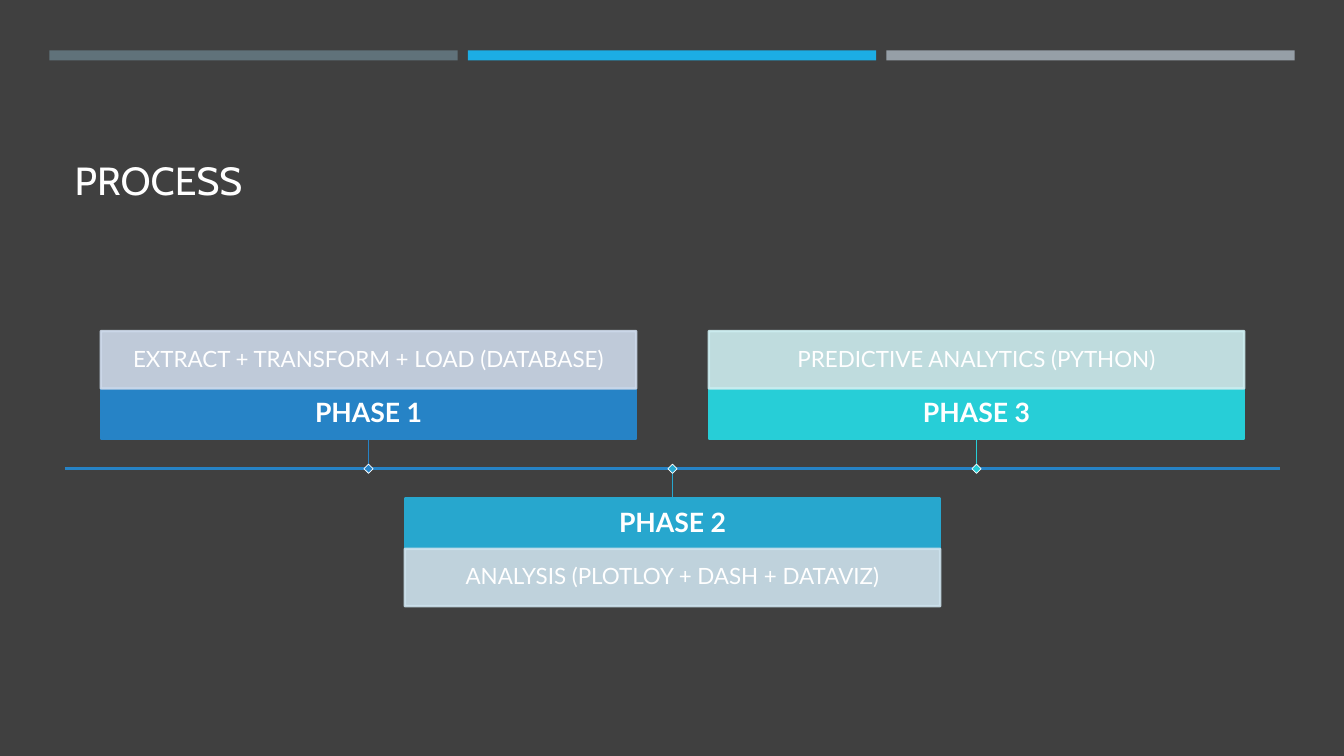
from dataclasses import dataclass

from lxml import etree
from pptx import Presentation
from pptx.dml.color import RGBColor
from pptx.enum.shapes import MSO_CONNECTOR, MSO_SHAPE
from pptx.enum.text import MSO_ANCHOR, PP_ALIGN
from pptx.oxml.ns import qn
from pptx.util import Inches, Pt

RECTANGLE = MSO_SHAPE.RECTANGLE
STRAIGHT = MSO_CONNECTOR.STRAIGHT
MIDDLE, BOTTOM = MSO_ANCHOR.MIDDLE, MSO_ANCHOR.BOTTOM
CENTER, LEFT = PP_ALIGN.CENTER, PP_ALIGN.LEFT
TOP_SIDE, BOTTOM_SIDE = 0, 2

COLORS = {
    "background": "404040",
    "text": "FFFFFF",
    "slate": "60727A",
    "sky": "1CADE4",
    "silver": "969FA7",
    "blue": "2683C6",
    "blue_tint": "CDD9EA",
    "cyan": "27A7CE",
    "cyan_tint": "CDE2ED",
    "turquoise": "27CED7",
    "turquoise_tint": "CDEDF0",
}

SLIDE_W, SLIDE_H = 13.33, 7.5
BAR_LEFT, BAR_TOP, BAR_W, BAR_H, BAR_STEP = 0.49, 0.5, 4.05, 0.1, 4.15

# The timeline is four columns long; phases sit on the three inner column lines.
AXIS_LEFT, AXIS_Y, AXIS_W = 0.64, 4.65, 12.06
COLUMN = AXIS_W / 4
BOX_W, HEADER_H, DETAIL_H, STEM = 5.31, 0.5, 0.57, 0.295
MARKER = 0.065


@dataclass(frozen=True)
class Phase:
    name: str
    detail: str
    color: str
    above: bool


PHASES = [
    Phase("PHASE 1", "EXTRACT + TRANSFORM + LOAD (DATABASE)", "blue", True),
    Phase("PHASE 2", "ANALYSIS (PLOTLOY + DASH + DATAVIZ)", "cyan", False),
    Phase("PHASE 3", "PREDICTIVE ANALYTICS (PYTHON)", "turquoise", True),
]

HEADER_FONT = {"name": "Lato", "size": Pt(19), "bold": True}
DETAIL_FONT = {"name": "Lato", "size": Pt(16), "bold": False}
TITLE_FONT = {"name": "Cabin", "size": Pt(28), "bold": False}


def rgb(color: str) -> RGBColor:
    return RGBColor.from_string(COLORS[color])


def add_block(slide, left: float, top: float, width: float, height: float,
              color: str, line: str | None = None, line_width: float = 1.75):
    block = slide.shapes.add_shape(
        RECTANGLE, Inches(left), Inches(top), Inches(width), Inches(height))
    block.shadow.inherit = False
    block.fill.solid()
    block.fill.fore_color.rgb = rgb(color)
    if line:
        block.line.color.rgb = rgb(line)
        block.line.width = Pt(line_width)
    else:
        block.line.fill.background()
    return block


def set_opacity(block, percent: int) -> None:
    """Apply the opacity to both the fill and the outline."""
    for color in block._element.spPr.iter(qn("a:srgbClr")):
        etree.SubElement(color, qn("a:alpha")).set("val", str(percent * 1000))


def write(shape, text: str, font: dict, anchor=MIDDLE, align=CENTER) -> None:
    frame = shape.text_frame
    frame.text = text
    frame.word_wrap = True
    frame.vertical_anchor = anchor
    paragraph = frame.paragraphs[0]
    paragraph.alignment = align
    paragraph.line_spacing = 0.9
    run_font = paragraph.runs[0].font
    for attribute, value in font.items():
        setattr(run_font, attribute, value)
    run_font.color.rgb = rgb("text")


def add_line(slide, start: tuple[float, float], end: tuple[float, float],
             color: str, width: float):
    line = slide.shapes.add_connector(
        STRAIGHT, *(Inches(value) for value in (*start, *end)))
    line.line.color.rgb = rgb(color)
    line.line.width = Pt(width)
    etree.SubElement(line._element.spPr, qn("a:effectLst"))
    return line


def add_phase(slide, phase: Phase, center: float) -> None:
    left = center - BOX_W / 2
    if phase.above:
        header_top = AXIS_Y - STEM - HEADER_H
        detail_top = header_top - DETAIL_H
        joined_side, stem_y = BOTTOM_SIDE, AXIS_Y - STEM
    else:
        header_top = AXIS_Y + STEM
        detail_top = header_top + HEADER_H
        joined_side, stem_y = TOP_SIDE, header_top

    header = add_block(slide, left, header_top, BOX_W, HEADER_H,
                       phase.color, phase.color)
    write(header, phase.name, HEADER_FONT)

    tint = f"{phase.color}_tint"
    detail = add_block(slide, left, detail_top, BOX_W, DETAIL_H, tint, tint)
    set_opacity(detail, 90)
    write(detail, phase.detail, DETAIL_FONT)

    stem = add_line(slide, (center, stem_y), (center, AXIS_Y), phase.color, 1)
    stem.begin_connect(header, joined_side)

    marker = add_block(slide, center - MARKER / 2, AXIS_Y - MARKER / 2,
                       MARKER, MARKER, phase.color, "text", 0.5)
    marker.rotation = 45


def main() -> None:
    deck = Presentation()
    deck.slide_width, deck.slide_height = Inches(SLIDE_W), Inches(SLIDE_H)
    slide = deck.slides.add_slide(deck.slide_layouts[5])
    slide.background.fill.solid()
    slide.background.fill.fore_color.rgb = rgb("background")

    title = slide.shapes.title
    title.left, title.top = Inches(AXIS_LEFT), Inches(0.77)
    title.width, title.height = Inches(AXIS_W), Inches(1.3)
    write(title, "PROCESS", TITLE_FONT, BOTTOM, LEFT)

    for index, color in enumerate(("slate", "sky", "silver")):
        add_block(slide, BAR_LEFT + index * BAR_STEP, BAR_TOP, BAR_W, BAR_H, color)

    add_line(slide, (AXIS_LEFT, AXIS_Y), (AXIS_LEFT + AXIS_W, AXIS_Y), "blue", 1.75)
    for column, phase in enumerate(PHASES, start=1):
        add_phase(slide, phase, AXIS_LEFT + column * COLUMN)

    deck.save("out.pptx")


if __name__ == "__main__":
    main()
